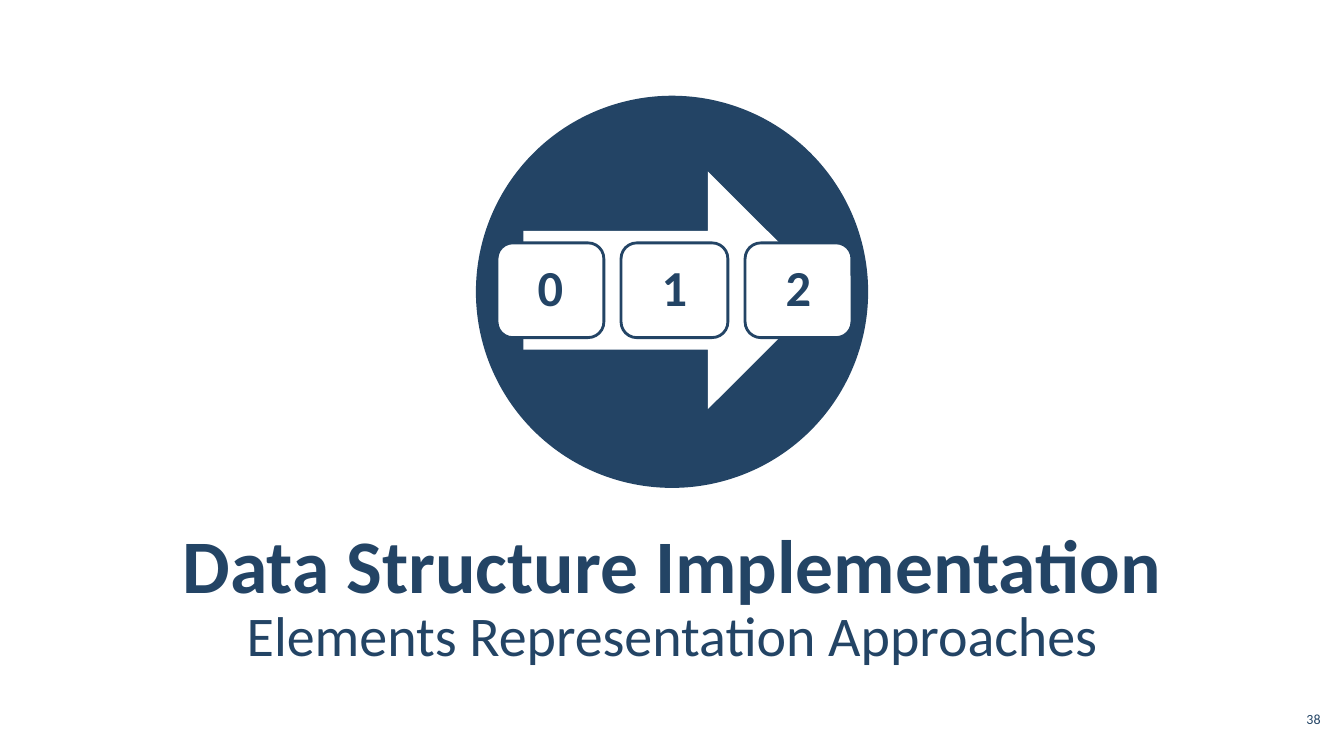
from pptx import Presentation
from pptx.dml.color import RGBColor
from pptx.enum import shapes, text
from pptx.util import Inches, Pt

NAVY = RGBColor(0x23, 0x44, 0x65)
WHITE = RGBColor(0xFF, 0xFF, 0xFF)
FONT = "Calibri"

HEADINGS = [
    ("Data Structure Implementation", (0.67, 5.15, 11.99, 0.84), 54, True),
    ("Elements Representation Approaches", (0.67, 6, 11.99, 0.55), 40, False),
]
PAGE_NUMBER = "38"
INDEXES = ["0", "1", "2"]
DISC = (4.72, 0.95, 3.89, 3.89)
ARROW = (5.19, 1.7, 3.01, 2.36)
CELL_LEFT, CELL_TOP, CELL_WIDTH, CELL_HEIGHT = 4.93, 2.41, 1.06, 0.94
CELL_PITCH = 1.23


def apply(target, values):
    for name, value in values.items():
        setattr(target, name, value)


def write(frame, wording, size, bold=False, margins=(0.1, 0.05), frame_format=None, paragraph_format=None):
    side, edge = map(Inches, margins)
    apply(frame, {"margin_left": side, "margin_right": side, "margin_top": edge,
                  "margin_bottom": edge, "word_wrap": True,
                  "auto_size": text.MSO_AUTO_SIZE.NONE, **(frame_format or {})})
    frame.text = wording
    paragraph = frame.paragraphs[0]
    apply(paragraph, paragraph_format or {})
    apply(paragraph.font, {"name": FONT, "size": Pt(size), "bold": bold})
    paragraph.font.color.rgb = NAVY


def draw(slide, preset, box, fill, outline=None):
    figure = slide.shapes.add_shape(preset, *map(Inches, box))
    figure.shadow.inherit = False
    figure.fill.solid()
    figure.fill.fore_color.rgb = fill
    if outline is None:
        figure.line.fill.background()
    else:
        figure.line.color.rgb = outline
        figure.line.width = Pt(2)
    return figure


def main():
    """Build the section slide about element representation and save it."""
    deck = Presentation()
    apply(deck, {"slide_width": Inches(13.33), "slide_height": Inches(7.5)})
    slide = deck.slides.add_slide(deck.slide_layouts[0])
    middle = {"vertical_anchor": text.MSO_ANCHOR.MIDDLE}
    centred = {"alignment": text.PP_ALIGN.CENTER, "space_before": Pt(0)}

    for heading, (wording, box, size, bold) in zip(slide.placeholders, HEADINGS):
        apply(heading, dict(zip(("left", "top", "width", "height"), map(Inches, box))))
        write(heading.text_frame, wording, size, bold, (0.12, 0.04), middle,
              {**centred, "line_spacing": 1.05, "space_after": Pt(6)})

    page = slide.shapes.add_textbox(*map(Inches, (12.86, 7, 0.47, 0.34)))
    write(page.text_frame, PAGE_NUMBER, 10)

    draw(slide, shapes.MSO_SHAPE.OVAL, DISC, NAVY)
    draw(slide, shapes.MSO_SHAPE.RIGHT_ARROW, ARROW, WHITE)
    for position, index in enumerate(INDEXES):
        box = (CELL_LEFT + position * CELL_PITCH, CELL_TOP, CELL_WIDTH, CELL_HEIGHT)
        cell = draw(slide, shapes.MSO_SHAPE.ROUNDED_RECTANGLE, box, WHITE, NAVY)
        write(cell.text_frame, index, 36, True, (0.15, 0.15), middle,
              {**centred, "line_spacing": 0.9})

    deck.save("out.pptx")


if __name__ == "__main__":
    main()
